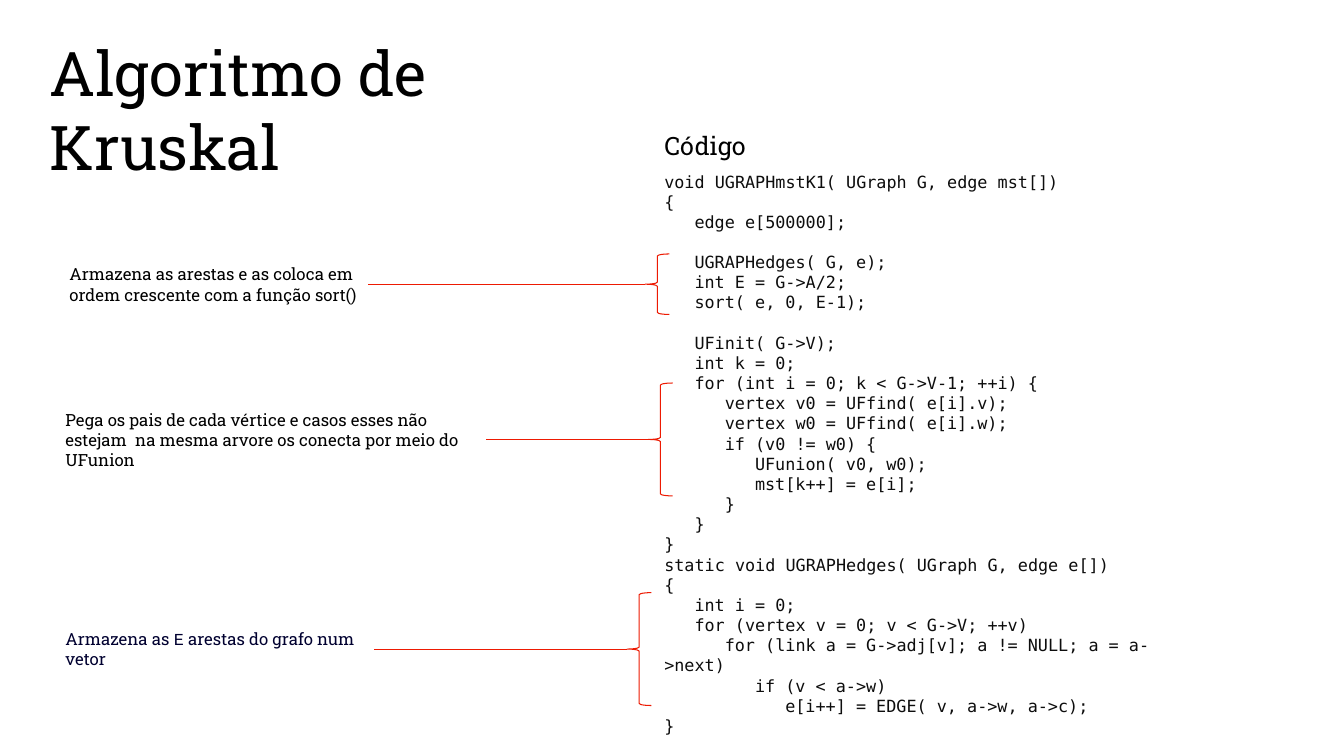
from pptx import Presentation
from pptx.dml.color import RGBColor
from pptx.enum.shapes import MSO_CONNECTOR, MSO_SHAPE
from pptx.enum.text import MSO_ANCHOR, MSO_AUTO_SIZE, PP_ALIGN
from pptx.oxml.ns import qn
from pptx.util import Inches, Pt
from lxml.etree import SubElement

BLACK = RGBColor(0x00, 0x00, 0x00)
NAVY = RGBColor(0x00, 0x00, 0x30)
CODE_GRAY = RGBColor(0x0D, 0x0D, 0x0D)
RED = RGBColor(0xED, 0x1A, 0x02)
SLAB, MONO, COURIER = "Roboto Slab", "DejaVu Sans Mono", "Courier New"

presentation = Presentation()
presentation.slide_width, presentation.slide_height = Inches(13.33), Inches(7.5)
slide = presentation.slides.add_slide(presentation.slide_layouts[5])
shapes = slide.shapes
column = presentation.slide_width / 100
row = presentation.slide_height / 100


def grid(left, top, width, height):
    return int(left * column), int(top * row), int(width * column), int(height * row)


def write(paragraph, text, size, font, color):
    paragraph.alignment = PP_ALIGN.LEFT
    run = paragraph.add_run()
    run.text = text
    run.font.size = Pt(size)
    run.font.name = font
    run.font.color.rgb = color


title = shapes.title
title.left, title.top, title.width, title.height = grid(2.93, 4, 46.96, 11.2)
title.text_frame.word_wrap = True
title.text_frame.auto_size = MSO_AUTO_SIZE.NONE
title.text_frame.vertical_anchor = MSO_ANCHOR.TOP
write(title.text_frame.paragraphs[0], "Algoritmo de Kruskal", 44, SLAB, BLACK)

code_left = 48.69
heading = shapes.add_textbox(*grid(code_left, 16.53, 8.03, 5.33)).text_frame
write(heading.paragraphs[0], "Código", 18, SLAB, BLACK)

code_lines = [
    (0, "void UGRAPHmstK1( UGraph G, edge mst[])"),
    (0, "{"),
    (1, "edge e[500000];"),
    (1, "UGRAPHedges( G, e);"),
    (1, "int E = G->A/2;"),
    (1, "sort( e, 0, E-1);"),
    (1, "UFinit( G->V);"),
    (1, "int k = 0;"),
    (1, "for (int i = 0; k < G->V-1; ++i) {"),
    (2, "vertex v0 = UFfind( e[i].v);"),
    (2, "vertex w0 = UFfind( e[i].w);"),
    (2, "if (v0 != w0) {"),
    (3, "UFunion( v0, w0);"),
    (3, "mst[k++] = e[i];"),
    (2, "}"),
    (1, "}"),
    (0, "}"),
    (0, "static void UGRAPHedges( UGraph G, edge e[])"),
    (0, "{"),
    (1, "int i = 0;"),
    (1, "for (vertex v = 0; v < G->V; ++v)"),
    (2, "for (link a = G->adj[v]; a != NULL; a = a->next)"),
    (3, "if (v < a->w)"),
    (4, "e[i++] = EDGE( v, a->w, a->c);"),
    (0, "}"),
]
block_starts = {"UGRAPHedges( G, e);", "UFinit( G->V);"}
line_height = Pt(14.4)
indent_step = Inches(0.3)

code = shapes.add_textbox(*grid(code_left, 22, 39.83, 76.8)).text_frame
code.word_wrap = True
for number, (depth, statement) in enumerate(code_lines):
    code_line = code.add_paragraph() if number else code.paragraphs[0]
    code_line.line_spacing = line_height
    if statement in block_starts:
        code_line.space_before = line_height
    write(code_line, statement, 12, MONO, CODE_GRAY)
    properties = code_line._p.get_or_add_pPr()
    properties.set("marL", "0")
    properties.set("indent", str(depth * indent_step))

annotations = [
    (4.43, 22.96, 6.67, 48.01, 33.6, 8, BLACK,
     [("Armazena as arestas e as coloca em ordem crescente com a função sort()", SLAB)]),
    (4.13, 32.03, 9.47, 48.24, 50.67, 14.93, BLACK,
     [("Pega os pais de cada vértice e casos esses não estejam  na mesma arvore "
       "os conecta por meio do UFunion", SLAB)]),
    (4.13, 23.71, 6.67, 46.66, 78.4, 14.93, NAVY,
     [("Armazena as ", SLAB), ("E", COURIER), (" arestas do grafo num vetor", SLAB)]),
]
for left, width, height, brace_left, brace_top, brace_height, color, pieces in annotations:
    middle = brace_top + brace_height / 2
    note = shapes.add_textbox(*grid(left, middle - height / 2, width, height)).text_frame
    note.word_wrap = True
    note.vertical_anchor = MSO_ANCHOR.MIDDLE
    for text, font in pieces:
        write(note.paragraphs[0], text, 12, font, color)

    brace = shapes.add_shape(MSO_SHAPE.LEFT_BRACE, *grid(brace_left, brace_top, 1.8, brace_height))
    brace.shadow.inherit = False
    brace.fill.background()

    pointer = shapes.add_connector(
        MSO_CONNECTOR.STRAIGHT, *grid(brace_left, middle, left + width, middle))
    SubElement(pointer._element.spPr, qn("a:effectLst"))
    for stroke in (brace.line, pointer.line):
        stroke.color.rgb = RED
        stroke.width = Pt(0.75)

presentation.save("out.pptx")
